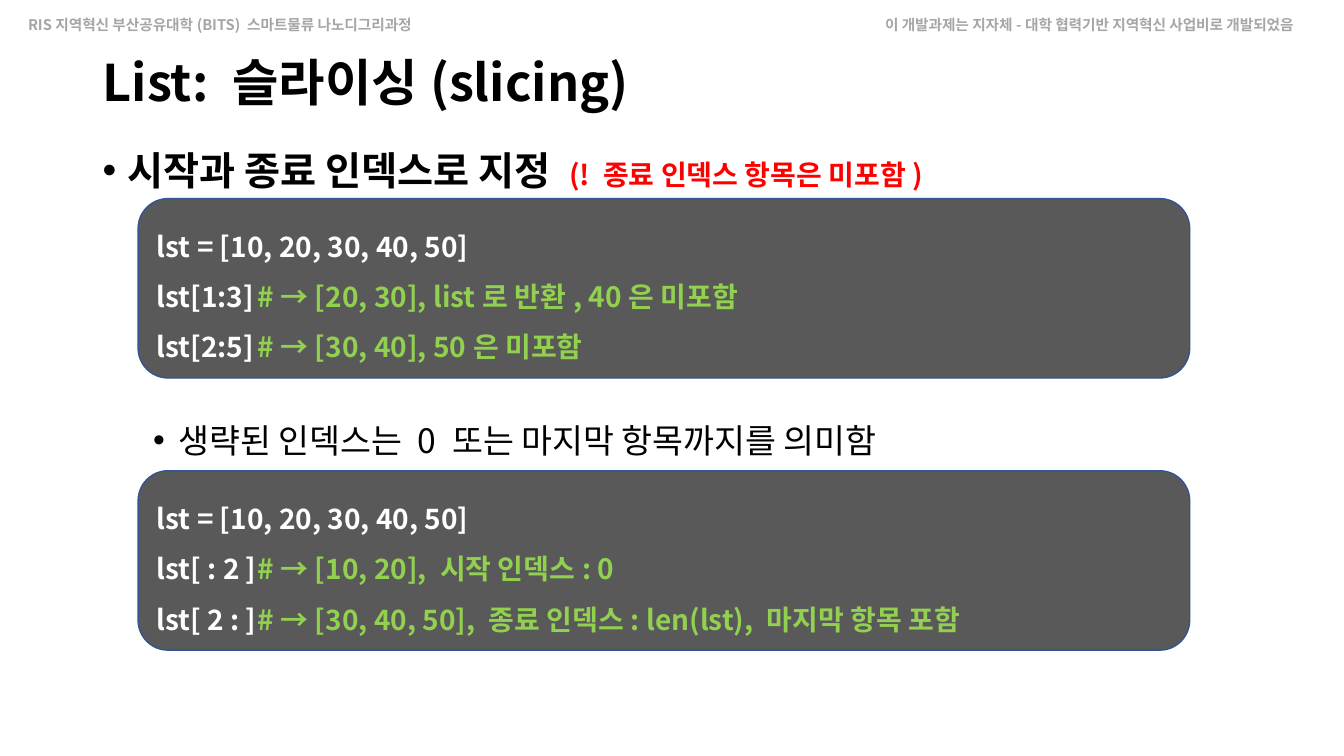
import pptx
import pptx.dml.color
import pptx.enum.shapes
import pptx.enum.text
import pptx.oxml.ns
import pptx.util
from lxml import etree

RGBColor = pptx.dml.color.RGBColor
Inches = pptx.util.Inches
Pt = pptx.util.Pt
Anchor = pptx.enum.text.MSO_ANCHOR

BLACK = RGBColor(0x00, 0x00, 0x00)
WHITE = RGBColor(0xFF, 0xFF, 0xFF)
RED = RGBColor(0xFF, 0x00, 0x00)
GREEN = RGBColor(0x92, 0xD0, 0x50)
HEADER_GREY = RGBColor(0xA6, 0xA6, 0xA6)
PANEL_GREY = RGBColor(0x59, 0x59, 0x59)
PANEL_EDGE = RGBColor(0x32, 0x54, 0x91)
FONT = "Noto Sans CJK KR"

# Text, left, width, wrap
HEADERS = [
    ("RIS지역혁신 부산공유대학(BITS) 스마트물류 나노디그리과정", 0.18, 4.24, False),
    ("이 개발과제는 지자체-대학 협력기반 지역혁신 사업비로 개발되었음", 8.68, 4.66, True),
]
TITLE = "List: 슬라이싱(slicing)"
# Indent in inches, space before in points, runs of (text, size, colour, bold)
BULLETS = [
    (0.25, 0, [("시작과 종료 인덱스로 지정 ", 28, BLACK, True),
               ("(! 종료 인덱스 항목은 미포함)", 20, RED, True)]),
    (0.75, 147, [("생략된 인덱스는 0 또는 마지막 항목까지를 의미함", 24, BLACK, False)]),
]
# Each line is code and its comment
CODE_PANELS = [
    [("lst = [10, 20, 30, 40, 50]", ""),
     ("lst[1:3]\t", "# → [20, 30], list로 반환, 40은 미포함"),
     ("lst[2:5]\t", "# → [30, 40], 50은 미포함")],
    [("lst = [10, 20, 30, 40, 50]", ""),
     ("lst[ : 2 ]\t", "# → [10, 20], 시작 인덱스: 0"),
     ("lst[ 2 : ]\t", "# → [30, 40, 50], 종료 인덱스: len(lst), 마지막 항목 포함")],
]

SLIDE_WIDTH, SLIDE_HEIGHT = 13.33, 7.5
CONTENT_LEFT = 0.92
BODY_TOP = 1.17
PANEL_LEFT, PANEL_TOP, PANEL_WIDTH, PANEL_HEIGHT = 1.37, 1.97, 10.43, 1.78
PANEL_PITCH = 2.7


def add_run(para, text, size, colour, bold=True):
    span = para.add_run()
    span.text = text
    span.font.size = Pt(size)
    span.font.bold = bold
    span.font.color.rgb = colour
    span.font.name = FONT
    latin = span.font._element.find(pptx.oxml.ns.qn("a:latin"))
    east_asian = etree.Element(pptx.oxml.ns.qn("a:ea"), typeface=FONT)
    latin.addnext(east_asian)


def add_text_box(page, left, top, width, height, wrap=True, anchor=Anchor.TOP):
    box = page.shapes.add_textbox(Inches(left), Inches(top), Inches(width), Inches(height))
    box.text_frame.word_wrap = wrap
    box.text_frame.vertical_anchor = anchor
    return box.text_frame


def next_paragraph(frame, index):
    """Use the paragraph a frame starts with before adding more."""
    return frame.add_paragraph() if index else frame.paragraphs[0]


def add_bullet(para, indent):
    properties = para._p.get_or_add_pPr()
    properties.set("marL", str(Inches(indent)))
    properties.set("indent", str(-Inches(0.25)))
    etree.SubElement(properties, pptx.oxml.ns.qn("a:buFont"), typeface="Arial")
    etree.SubElement(properties, pptx.oxml.ns.qn("a:buChar"), char="•")


def add_bullets(page):
    frame = add_text_box(page, CONTENT_LEFT, BODY_TOP,
                         SLIDE_WIDTH - CONTENT_LEFT - 0.33, SLIDE_HEIGHT - BODY_TOP)
    for index, (indent, space_before, spans) in enumerate(BULLETS):
        para = next_paragraph(frame, index)
        add_bullet(para, indent)
        para.line_spacing = 1.5
        if space_before:
            para.space_before = Pt(space_before)
        for span in spans:
            add_run(para, *span)


def add_code_panel(page, top, lines):
    panel = page.shapes.add_shape(
        pptx.enum.shapes.MSO_SHAPE.ROUNDED_RECTANGLE,
        Inches(PANEL_LEFT), Inches(top), Inches(PANEL_WIDTH), Inches(PANEL_HEIGHT))
    panel.shadow.inherit = False
    panel.fill.solid()
    panel.fill.fore_color.rgb = PANEL_GREY
    panel.line.color.rgb = PANEL_EDGE
    panel.line.width = Pt(1)
    frame = panel.text_frame
    frame.word_wrap = True
    frame.vertical_anchor = Anchor.TOP
    for index, (code, comment) in enumerate(lines):
        para = next_paragraph(frame, index)
        para.alignment = pptx.enum.text.PP_ALIGN.LEFT
        para.line_spacing = 1.5
        add_run(para, code, 20, WHITE)
        if comment:
            add_run(para, comment, 20, GREEN)


def main():
    deck = pptx.Presentation()
    deck.slide_width = Inches(SLIDE_WIDTH)
    deck.slide_height = Inches(SLIDE_HEIGHT)
    page = deck.slides.add_slide(deck.slide_layouts[6])

    for text, left, width, wrap in HEADERS:
        frame = add_text_box(page, left, 0.11, width, 0.28, wrap)
        add_run(frame.paragraphs[0], text, 10.5, HEADER_GREY)

    title = add_text_box(page, CONTENT_LEFT, 0.4, SLIDE_WIDTH - 2 * CONTENT_LEFT, 0.9,
                         anchor=Anchor.MIDDLE).paragraphs[0]
    title.line_spacing = 0.9
    add_run(title, TITLE, 36, BLACK)

    add_bullets(page)
    for row, lines in enumerate(CODE_PANELS):
        add_code_panel(page, PANEL_TOP + row * PANEL_PITCH, lines)
    deck.save("out.pptx")


if __name__ == "__main__":
    main()
